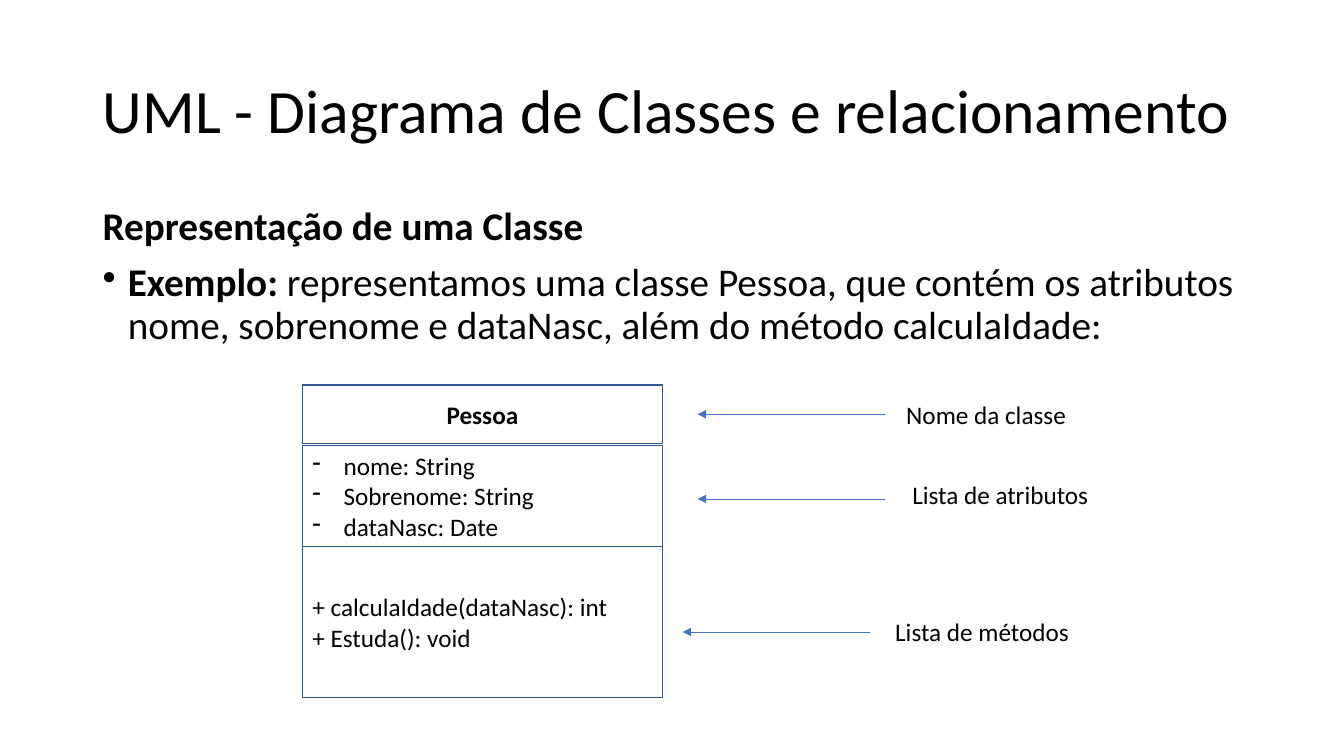
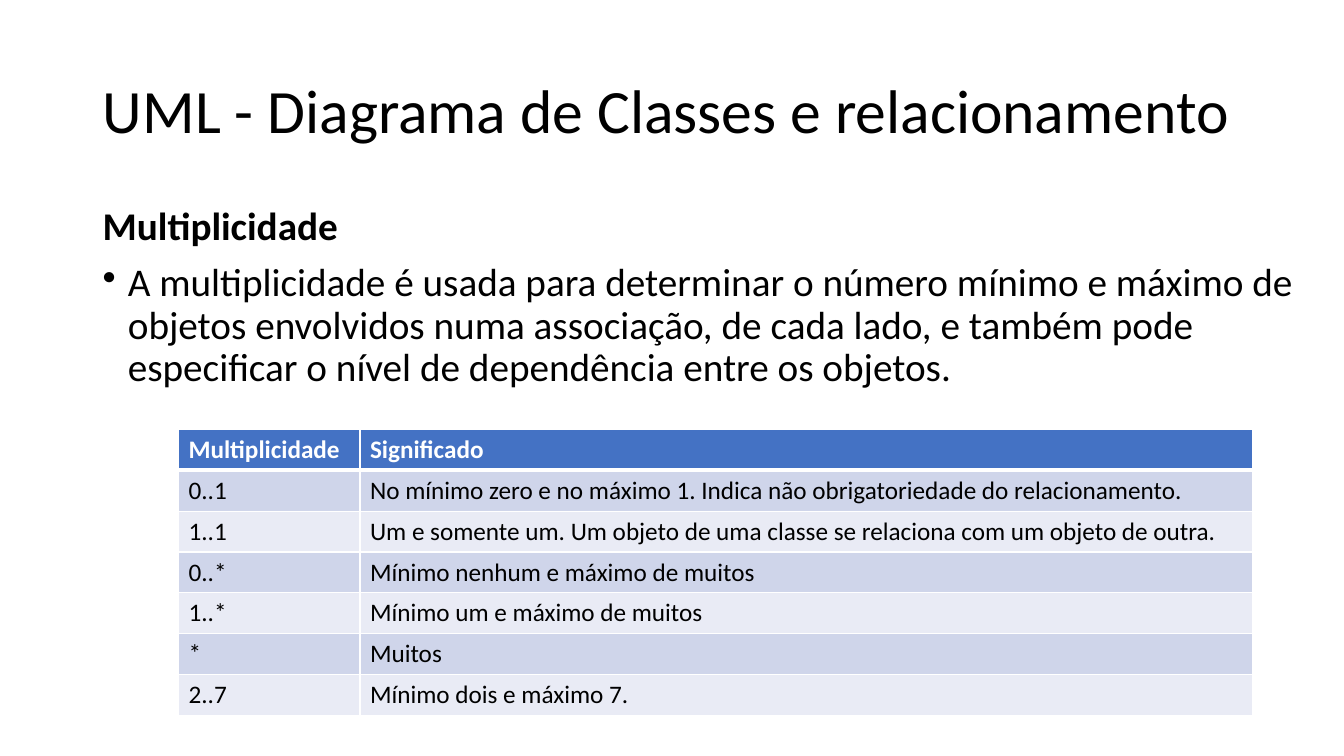
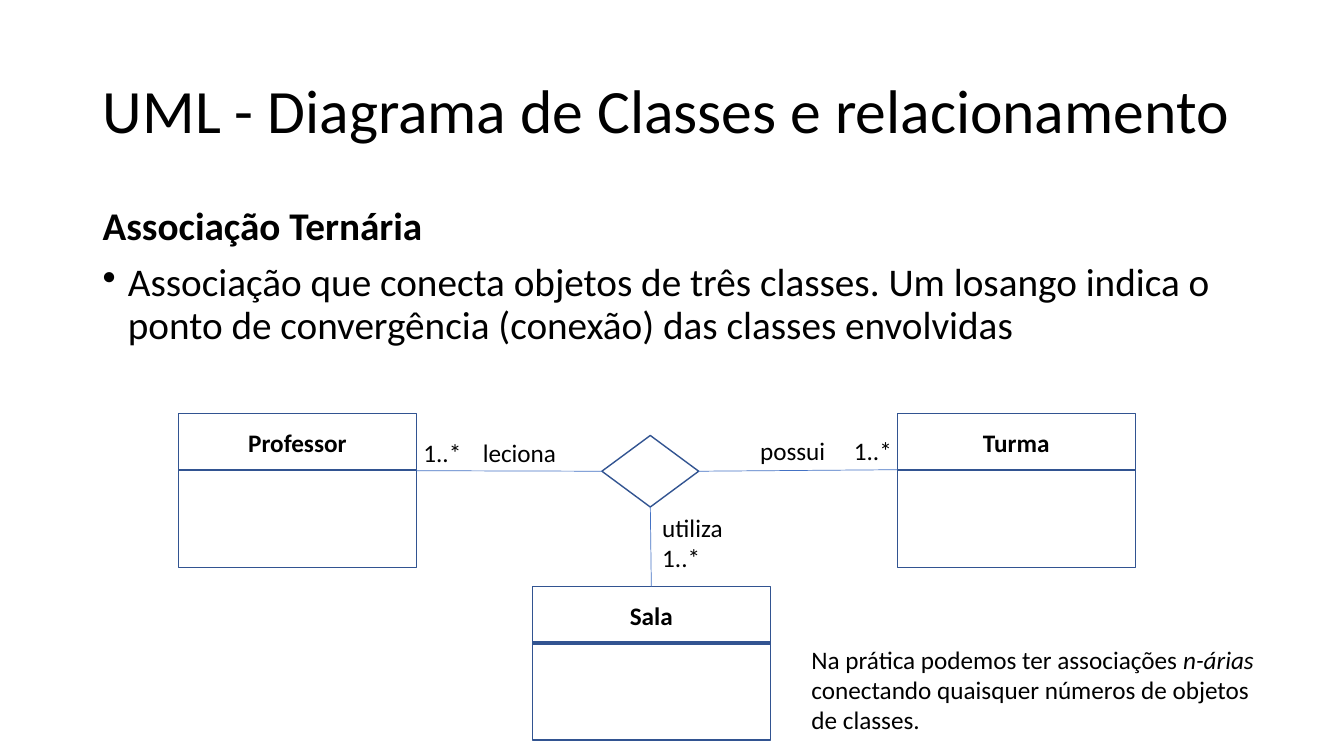
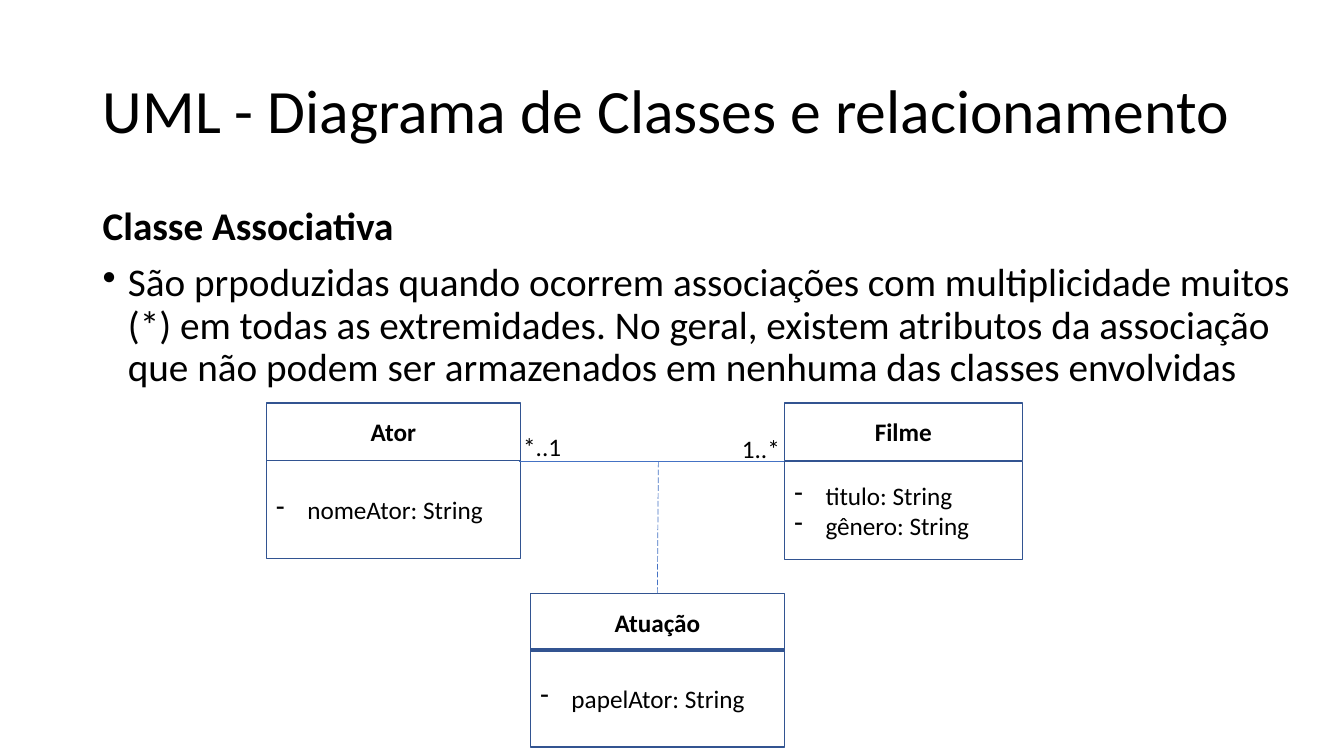
from dataclasses import dataclass

import pptx
import pptx.util
import pptx.dml.color
import pptx.enum.dml
import pptx.enum.shapes
import pptx.enum.text
import pptx.oxml
import pptx.oxml.ns

PX = 9144  # EMU in one px, at 100 px to the inch
RGB = pptx.dml.color.RGBColor.from_string
Pt = pptx.util.Pt
SHAPE = pptx.enum.shapes.MSO_SHAPE
ALIGN = pptx.enum.text.PP_ALIGN
ANCHOR = pptx.enum.text.MSO_ANCHOR
AUTO_SIZE = pptx.enum.text.MSO_AUTO_SIZE


@dataclass(frozen=True)
class Theme:
    font: str = "Calibri"
    text: str = "000000"
    white: str = "FFFFFF"
    accent: str = "4472C4"
    outline: str = "325491"
    bands: tuple = ("E9EBF5", "CFD5EA")
    title_size: int = 44
    body_size: int = 28
    small_size: int = 18
    tight: float = 0.9


THEME = Theme()

TITLE = "UML - Diagrama de Classes e relacionamento"
TITLE_BOX = (92, 40, 1150, 145)
BODY_LEFT, BODY_TOP, BODY_WIDTH = 92, 200, 1201

# Per slide: heading, runs of the bullet as (text, style), height of the body
CLASS_BODY = ("Representação de uma Classe", [
    ("Exemplo: ", "b"),
    ("representamos uma classe Pessoa, que contém os atributos nome, "
     "sobrenome e dataNasc, além do método calculaIdade:", "")], 155)
MULTIPLICITY_BODY = ("Multiplicidade", [
    ("A multiplicidade é usada para determinar o número mínimo e máximo de "
     "objetos envolvidos numa associação, de cada lado, e também pode "
     "especificar o nível de dependência entre os objetos.", "")], 264)
TERNARY_BODY = ("Associação Ternária", [
    ("Associação que conecta objetos de três classes. Um losango indica o "
     "ponto de convergência (conexão) das classes envolvidas", "")], 167)
ASSOCIATIVE_BODY = ("Classe Associativa", [
    ("São prpoduzidas quando ocorrem associações com multiplicidade muitos "
     "(*) em todas as extremidades. No geral, existem atributos da "
     "associação que não podem ser armazenados em nenhuma das classes "
     "envolvidas", "")], 251)

# Classes: left, width, then compartments as (top, height, lines)
PESSOA = (300, 357, [
    (382, 58, ["Pessoa"]),
    (442, 100, ["nome: String", "Sobrenome: String", "dataNasc: Date"]),
    (542, 150, ["+ calculaIdade(dataNasc): int", "+ Estuda(): void"])])
PROFESSOR = (177, 236, [(410, 57, ["Professor"]), (466, 97, [])])
TURMA = (890, 236, [(410, 57, ["Turma"]), (466, 97, [])])
SALA = (528, 236, [(582, 57, ["Sala"]), (637, 97, [])])
ATOR = (264, 252, [(400, 57, ["Ator"]), (457, 97, ["nomeAtor: String"])])
FILME = (778, 236, [(400, 57, ["Filme"]),
                    (458, 97, ["titulo: String", "gênero: String"])])
ATUACAO = (526, 252, [(589, 57, ["Atuação"]),
                      (644, 97, ["papelAtor: String"])])

# Callouts: text, text box, arrow start x, arrow y
CALLOUTS = [
    ("Nome da classe", (889, 391, 180, 40), 878, 411),
    ("Lista de atributos", (895, 471, 197, 40), 878, 495),
    ("Lista de métodos", (878, 607, 195, 40), 863, 627),
]
ARROW_LENGTH = 186

MULTIPLICITIES = [
    ("Multiplicidade", "Significado"),
    ("0..1", "No mínimo zero e no máximo 1. Indica não obrigatoriedade do "
             "relacionamento."),
    ("1..1", "Um e somente um. Um objeto de uma classe se relaciona com um "
             "objeto de outra."),
    ("0..*", "Mínimo nenhum e máximo de muitos"),
    ("1..*", "Mínimo um e máximo de muitos"),
    ("*", "Muitos"),
    ("2..7", "Mínimo dois e máximo 7."),
]
TABLE_BOX = (177, 426, 1065, 284)
COLUMN_WIDTHS = (180, 885)

TERNARY_LABELS = [
    (["1..*"], (410, 429, 70, 40)),
    (["leciona"], (469, 429, 100, 40)),
    (["possui"], (744, 427, 90, 40)),
    (["1..*"], (837, 427, 70, 40)),
    (["utiliza", "1..*"], (647, 503, 110, 71)),
]
DIAMOND_BOX = (597, 432, 96, 71)
NOTE_BOX = (795, 634, 463, 101)
NOTE = [("Na prática podemos ter associações ", ""), ("n-árias", "i"),
        (" conectando quaisquer números de objetos de classes.", "")]

ASSOCIATIVE_LABELS = [
    (["*..1"], (509, 423, 70, 40)),
    (["1..*"], (726, 425, 70, 40)),
]


def emu(lengths):
    return [n * PX for n in lengths]


def style_font(p, size, color=THEME.text, bold=None):
    p.font.name = THEME.font
    p.font.size = Pt(size)
    p.font.color.rgb = RGB(color)
    p.font.bold = bold


def add_xml(parent, tag, **attributes):
    child = parent.makeelement(pptx.oxml.ns.qn(tag), attributes)
    parent.append(child)
    return child


def set_bullet(p, mark, indent):
    """Give a paragraph a hanging bullet; call before its font is set."""
    pPr = p._p.get_or_add_pPr()
    pPr.set("marL", str(indent * PX))
    pPr.set("indent", str(-indent * PX))
    add_xml(pPr, "a:buChar", char=mark)


def paragraphs(tf, count):
    return [tf.paragraphs[0]] + [tf.add_paragraph() for _ in range(count - 1)]


def add_runs(p, runs):
    for text, style in runs:
        r = p.add_run()
        r.text = text
        if style == "b":
            r.font.bold = True
        elif style == "i":
            r.font.italic = True


def add_text_box(slide, box, wrap=True):
    tf = slide.shapes.add_textbox(*emu(box)).text_frame
    tf.word_wrap = wrap
    return tf


def add_label(slide, lines, box):
    tf = add_text_box(slide, box, wrap=False)
    tf.auto_size = AUTO_SIZE.SHAPE_TO_FIT_TEXT
    for p, line in zip(paragraphs(tf, len(lines)), lines):
        p.text = line
        style_font(p, THEME.small_size)


def add_outlined(slide, kind, box):
    sp = slide.shapes.add_shape(kind, *emu(box))
    sp.shadow.inherit = False
    sp.fill.background()
    sp.line.color.rgb = RGB(THEME.outline)
    sp.line.width = Pt(1)
    return sp


def add_class(slide, left, width, compartments):
    """Draw a UML class and return its name compartment."""
    shapes = []
    for top, height, lines in compartments:
        is_name = not shapes
        sp = add_outlined(slide, SHAPE.RECTANGLE, (left, top, width, height))
        shapes.append(sp)
        tf = sp.text_frame
        tf.vertical_anchor = ANCHOR.MIDDLE
        if not lines:
            continue
        for p, line in zip(paragraphs(tf, len(lines)), lines):
            p.text = line
            p.alignment = ALIGN.CENTER if is_name else ALIGN.LEFT
            if not is_name and not line.startswith("+"):
                set_bullet(p, "-", 31)
            style_font(p, THEME.small_size, bold=is_name)
    return shapes[0]


def add_line(slide, start, end, arrow=False, dashed=False):
    line = slide.shapes.add_connector(
        pptx.enum.shapes.MSO_CONNECTOR.STRAIGHT, *emu(start + end))
    line.line.color.rgb = RGB(THEME.accent)
    line.line.width = Pt(0.5)
    if dashed:
        line.line.dash_style = pptx.enum.dml.MSO_LINE.LONG_DASH
    spPr = line._element.spPr
    if arrow:
        add_xml(spPr.find(pptx.oxml.ns.qn("a:ln")), "a:tailEnd", type="triangle")
    add_xml(spPr, "a:effectLst")
    return line


def set_borders(cell, top, bottom):
    """Draw white borders; widths in points, to be set before the fill."""
    tcPr = cell._tc.get_or_add_tcPr()
    for side, width in (("L", 1), ("R", 1), ("T", top), ("B", bottom)):
        ln = add_xml(tcPr, f"a:ln{side}", w=str(Pt(width)))
        add_xml(add_xml(ln, "a:solidFill"), "a:srgbClr", val=THEME.white)


def add_slide(prs, heading, bullet_runs, body_height):
    slide = prs.slides.add_slide(prs.slide_layouts.get_by_name("Title Only"))
    title = slide.shapes.title
    title.left, title.top, title.width, title.height = emu(TITLE_BOX)
    tf = title.text_frame
    tf.text = TITLE
    tf.auto_size = AUTO_SIZE.NONE
    tf.vertical_anchor = ANCHOR.MIDDLE
    p = tf.paragraphs[0]
    p.alignment = ALIGN.LEFT
    p.line_spacing = THEME.tight
    style_font(p, THEME.title_size)

    tf = add_text_box(slide, (BODY_LEFT, BODY_TOP, BODY_WIDTH, body_height))
    head, bullet = paragraphs(tf, 2)
    head.text = heading
    add_runs(bullet, bullet_runs)
    set_bullet(bullet, "•", 25)
    for p in (head, bullet):
        p.line_spacing = THEME.tight
        p.space_before = Pt(10)
        style_font(p, THEME.body_size, bold=p is head)
    return slide


def build_class_slide(prs):
    slide = add_slide(prs, *CLASS_BODY)
    add_class(slide, *PESSOA)
    for text, box, x, y in CALLOUTS:
        add_line(slide, (x, y), (x - ARROW_LENGTH, y), arrow=True)
        add_label(slide, [text], box)


def build_multiplicity_slide(prs):
    slide = add_slide(prs, *MULTIPLICITY_BODY)
    table = slide.shapes.add_table(
        len(MULTIPLICITIES), len(COLUMN_WIDTHS), *emu(TABLE_BOX)).table
    for column, width in zip(table.columns, COLUMN_WIDTHS):
        column.width = width * PX
    for i, row in enumerate(MULTIPLICITIES):
        is_header = i == 0
        for j, text in enumerate(row):
            cell = table.cell(i, j)
            set_borders(cell, 3 if i == 1 else 1, 3 if is_header else 1)
            cell.fill.solid()
            cell.fill.fore_color.rgb = RGB(
                THEME.accent if is_header else THEME.bands[i % 2])
            cell.text = text
            style_font(cell.text_frame.paragraphs[0], THEME.small_size,
                       THEME.white if is_header else THEME.text, is_header)


def build_ternary_slide(prs):
    slide = add_slide(prs, *TERNARY_BODY)
    add_class(slide, *PROFESSOR)
    add_class(slide, *TURMA)
    sala = add_class(slide, *SALA)
    diamond = add_outlined(slide, SHAPE.DIAMOND, DIAMOND_BOX)
    to_professor = add_line(slide, (597, 467), (413, 467))
    to_professor.begin_connect(diamond, 1)
    to_turma = add_line(slide, (693, 467), (890, 466))
    to_turma.begin_connect(diamond, 3)
    to_sala = add_line(slide, (645, 503), (646, 582))
    to_sala.begin_connect(diamond, 2)
    to_sala.end_connect(sala, 0)
    for lines, box in TERNARY_LABELS:
        add_label(slide, lines, box)
    p = add_text_box(slide, NOTE_BOX).paragraphs[0]
    add_runs(p, NOTE)
    style_font(p, THEME.small_size)


def build_associative_slide(prs):
    slide = add_slide(prs, *ASSOCIATIVE_BODY)
    add_class(slide, *ATOR)
    add_class(slide, *FILME)
    atuacao = add_class(slide, *ATUACAO)
    add_line(slide, (515, 458), (778, 458))
    to_atuacao = add_line(slide, (653, 458), (652, 589), dashed=True)
    to_atuacao.end_connect(atuacao, 0)
    for lines, box in ASSOCIATIVE_LABELS:
        add_label(slide, lines, box)


def main():
    prs = pptx.Presentation()
    prs.slide_width, prs.slide_height = emu((1333, 750))
    build_class_slide(prs)
    build_multiplicity_slide(prs)
    build_ternary_slide(prs)
    build_associative_slide(prs)
    prs.save("out.pptx")


if __name__ == "__main__":
    main()
